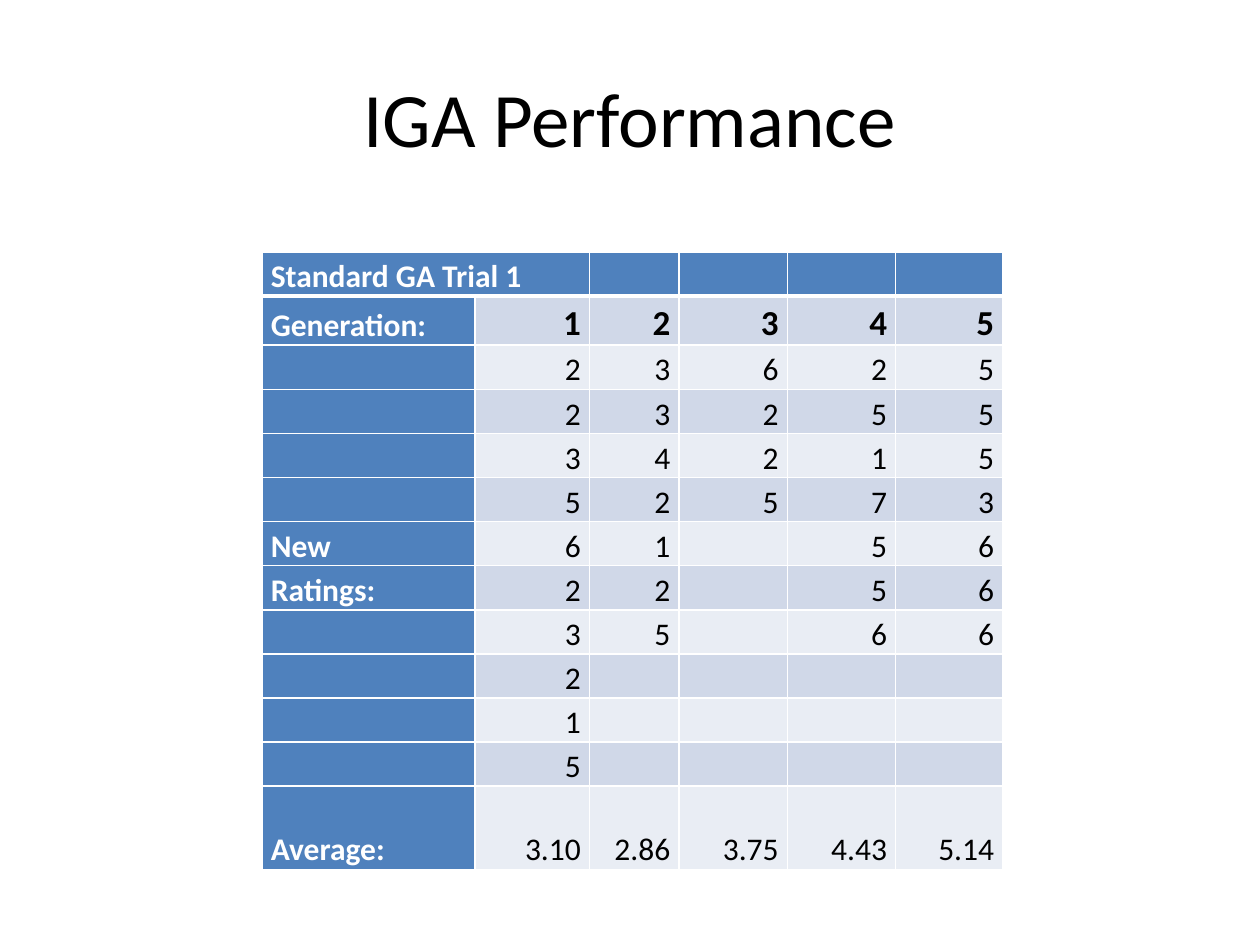
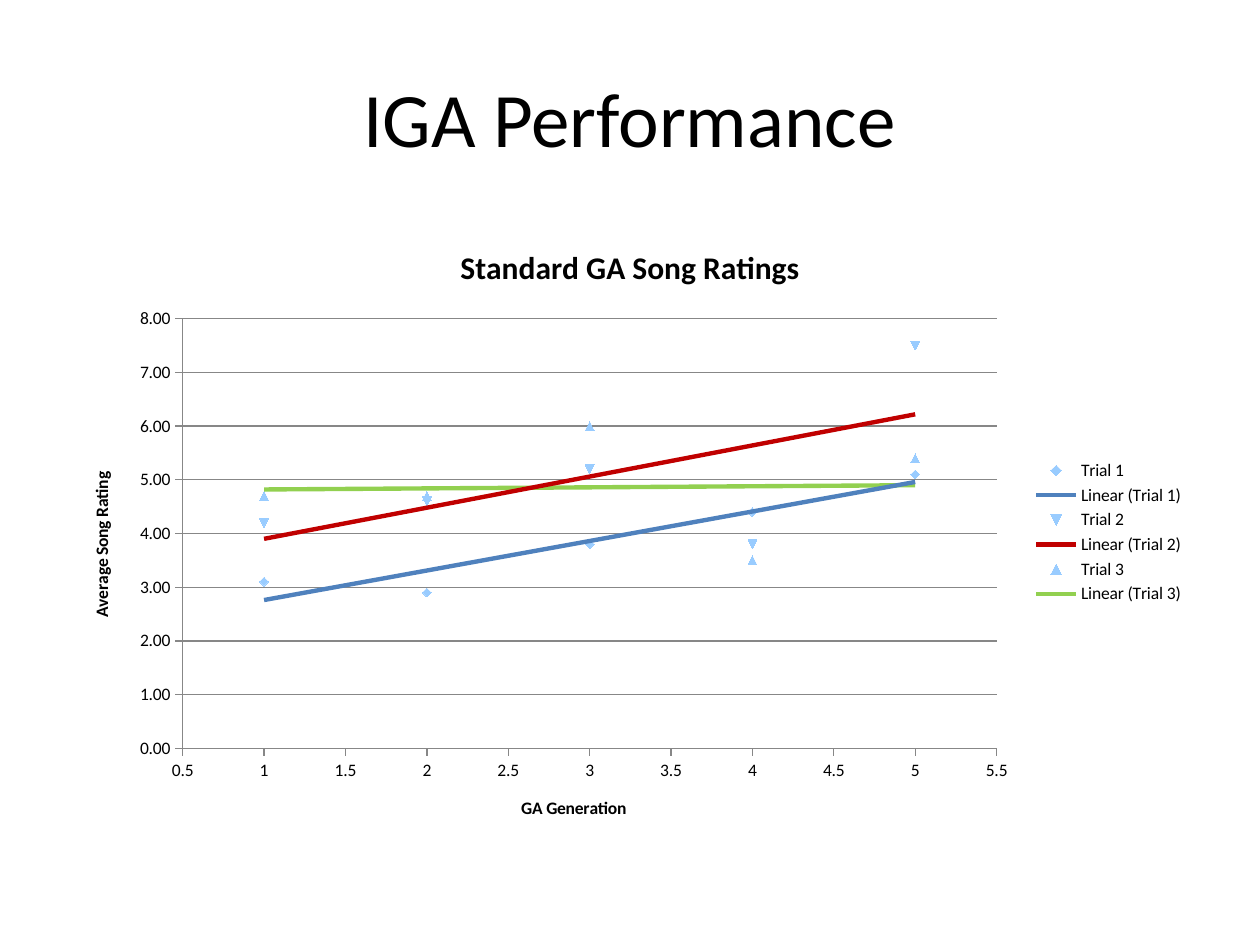
from dataclasses import dataclass

from lxml import etree
from pptx import Presentation
from pptx import util as u
from pptx.chart.data import XyChartData
from pptx.dml.color import RGBColor
from pptx.enum import chart as ch
from pptx.enum import text
from pptx.oxml import parse_xml
from pptx.oxml.ns import nsdecls, qn

Inches, Pt = u.Inches, u.Pt


@dataclass(frozen=True)
class Theme:
    font: str = "Calibri"
    ink: str = "000000"
    white: str = "FFFFFF"
    accent: str = "4F81BD"
    bands: tuple[str, str] = ("D0D8E8", "E9EDF4")
    grid: str = "878787"
    title: int = 44
    generation: int = 20
    body: int = 18
    axis: int = 10


@dataclass(frozen=True)
class Trial:
    name: str
    ratings: tuple[float, ...]
    trend: str


@dataclass(frozen=True)
class Box:
    left: float
    top: float
    width: float
    height: float


T = Theme()

CHART = Box(0.5, 1.75, 9, 4.95)
PLOT = Box(0.95, 0.78, 6.46, 3.41)
COL_WIDTHS = (1.69, 0.91, 0.71, 0.86, 0.86, 0.85)
ROW_HEIGHTS = (0.35, 0.39) + (0.35,) * 10 + (0.66,)
RATING_ROWS = (
    ("Standard GA Trial 1",),
    ("Generation:", "1", "2", "3", "4", "5"),
    ("", "2", "3", "6", "2", "5"),
    ("", "2", "3", "2", "5", "5"),
    ("", "3", "4", "2", "1", "5"),
    ("", "5", "2", "5", "7", "3"),
    ("New", "6", "1", "", "5", "6"),
    ("Ratings:", "2", "2", "", "5", "6"),
    ("", "3", "5", "", "6", "6"),
    ("", "2"),
    ("", "1"),
    ("", "5"),
    ("Average:", "3.10", "2.86", "3.75", "4.43", "5.14"),
)
TRIALS = (
    Trial("Trial 1", (3.1, 2.9, 3.8, 4.4, 5.1), T.accent),
    Trial("Trial 2", (4.2, 4.6, 5.2, 3.8, 7.5), "C00000"),
    Trial("Trial 3", (4.7, 4.7, 6, 3.5, 5.4), "92D050"),
)


def rgb(color: str) -> RGBColor:
    return RGBColor.from_string(color)


def add_run(p, words: str, size: int, color: str = T.ink, bold: bool = False) -> None:
    r = p.add_run()
    r.text = words
    r.font.name = T.font
    r.font.size = Pt(size)
    r.font.bold = bold
    r.font.color.rgb = rgb(color)


def add_titled_slide(prs, title: str):
    s = prs.slides.add_slide(prs.slide_layouts[6])
    sp = s.shapes.add_textbox(Inches(0.5), Inches(0.3), Inches(9), Inches(1.25))
    tf = sp.text_frame
    tf.word_wrap = True
    tf.vertical_anchor = text.MSO_ANCHOR.MIDDLE
    p = tf.paragraphs[0]
    p.alignment = text.PP_ALIGN.CENTER
    add_run(p, title, T.title)
    return s


def set_borders(cell, bottom: float) -> None:
    widths = {"lnL": 1, "lnR": 1, "lnT": 1, "lnB": bottom}
    for i, (tag, width) in enumerate(widths.items()):
        line = parse_xml(
            f'<a:{tag} {nsdecls("a")} w="{Pt(width)}"><a:solidFill>'
            f'<a:srgbClr val="{T.white}"/></a:solidFill></a:{tag}>'
        )
        cell._tc.get_or_add_tcPr().insert(i, line)


def fill_cell(cell, row: int, col: int, words: str) -> None:
    heading = row == 0 or col == 0
    generation = row == 1 and col > 0
    cell.fill.solid()
    cell.fill.fore_color.rgb = rgb(T.accent if heading else T.bands[(row - 1) % 2])
    set_borders(cell, 3 if row == 0 else 1)
    cell.vertical_anchor = text.MSO_ANCHOR.BOTTOM
    cell.margin_left = cell.margin_right = Inches(0.07)
    cell.margin_top = cell.margin_bottom = 0
    if words:
        p = cell.text_frame.paragraphs[0]
        p.line_spacing = 1.15
        p.alignment = text.PP_ALIGN.LEFT if heading else text.PP_ALIGN.RIGHT
        add_run(p, words, T.generation if generation else T.body,
                T.white if heading else T.ink, heading or generation)


def add_ratings_table(s) -> None:
    frame = s.shapes.add_table(
        len(ROW_HEIGHTS), len(COL_WIDTHS), Inches(2.08), Inches(2),
        Inches(sum(COL_WIDTHS)), Inches(sum(ROW_HEIGHTS)))
    table = frame.table
    table.first_row = table.horz_banding = False
    for column, width in zip(table.columns, COL_WIDTHS):
        column.width = Inches(width)
    for row, height in zip(table.rows, ROW_HEIGHTS):
        row.height = Inches(height)
    for r, values in enumerate(RATING_ROWS):
        for c in range(len(COL_WIDTHS)):
            fill_cell(table.cell(r, c), r, c, values[c] if c < len(values) else "")
    table.cell(0, 0).merge(table.cell(0, 1))


def add_trend(series, color: str) -> None:
    trend = parse_xml(
        f'<c:trendline {nsdecls("c", "a")}><c:spPr><a:ln w="{Pt(2.5)}"><a:solidFill>'
        f'<a:srgbClr val="{color}"/></a:solidFill></a:ln></c:spPr>'
        '<c:trendlineType val="linear"/><c:dispRSqr val="0"/><c:dispEq val="0"/>'
        '</c:trendline>'
    )
    series._element.find(qn("c:xVal")).addprevious(trend)


def style_axis(axis, title: str, low: float, high: float, step: float, fmt: str) -> None:
    axis.minimum_scale, axis.maximum_scale, axis.major_unit = low, high, step
    axis.major_tick_mark = ch.XL_TICK_MARK.OUTSIDE
    axis.minor_tick_mark = ch.XL_TICK_MARK.NONE
    axis.tick_labels.number_format = fmt
    axis.tick_labels.number_format_is_linked = False
    axis.format.line.color.rgb = rgb(T.grid)
    axis.format.line.width = Pt(0.75)
    add_run(axis.axis_title.text_frame.paragraphs[0], title, T.axis, bold=True)


def place_plot(chart) -> None:
    area = chart._chartSpace.chart.plotArea
    for old in area.findall(qn("c:layout")):
        area.remove(old)
    layout = etree.Element(qn("c:layout"))
    manual = etree.SubElement(layout, qn("c:manualLayout"))
    settings = {
        "layoutTarget": "inner", "xMode": "edge", "yMode": "edge",
        "x": PLOT.left / CHART.width, "y": PLOT.top / CHART.height,
        "w": PLOT.width / CHART.width, "h": PLOT.height / CHART.height,
    }
    for tag, value in settings.items():
        etree.SubElement(manual, qn(f"c:{tag}")).set("val", str(value))
    area.insert(0, layout)


def add_ratings_chart(s) -> None:
    data = XyChartData(number_format="0.00")
    for trial in TRIALS:
        series = data.add_series(trial.name)
        for generation, rating in enumerate(trial.ratings, 1):
            series.add_data_point(generation, rating)
    chart = s.shapes.add_chart(
        ch.XL_CHART_TYPE.XY_SCATTER, Inches(CHART.left), Inches(CHART.top),
        Inches(CHART.width), Inches(CHART.height), data).chart
    chart.font.name = T.font
    chart.font.size = Pt(T.axis)
    chart.font.color.rgb = rgb(T.ink)
    chart.has_title = True
    add_run(chart.chart_title.text_frame.paragraphs[0], "Standard GA Song Ratings",
            T.body, bold=True)
    chart.has_legend = True
    chart.legend.position = ch.XL_LEGEND_POSITION.RIGHT
    chart.legend.include_in_layout = False

    style_axis(chart.category_axis, "GA Generation", 0.5, 5.5, 0.5, "General")
    style_axis(chart.value_axis, "Average Song Rating", 0, 8, 1, "0.00")
    chart.category_axis.has_major_gridlines = False
    chart.value_axis.has_major_gridlines = True
    grid = chart.value_axis.major_gridlines.format.line
    grid.color.rgb = rgb(T.grid)
    grid.width = Pt(0.75)

    plot = chart.plots[0]
    plot.vary_by_categories = False
    for series, trial in zip(plot.series, TRIALS):
        series.format.line.fill.background()
        add_trend(series, trial.trend)
    place_plot(chart)


def main() -> None:
    prs = Presentation()
    prs.slide_width, prs.slide_height = Inches(10), Inches(7.5)
    for add_content in (add_ratings_table, add_ratings_chart):
        add_content(add_titled_slide(prs, "IGA Performance"))
    prs.save("out.pptx")


if __name__ == "__main__":
    main()
